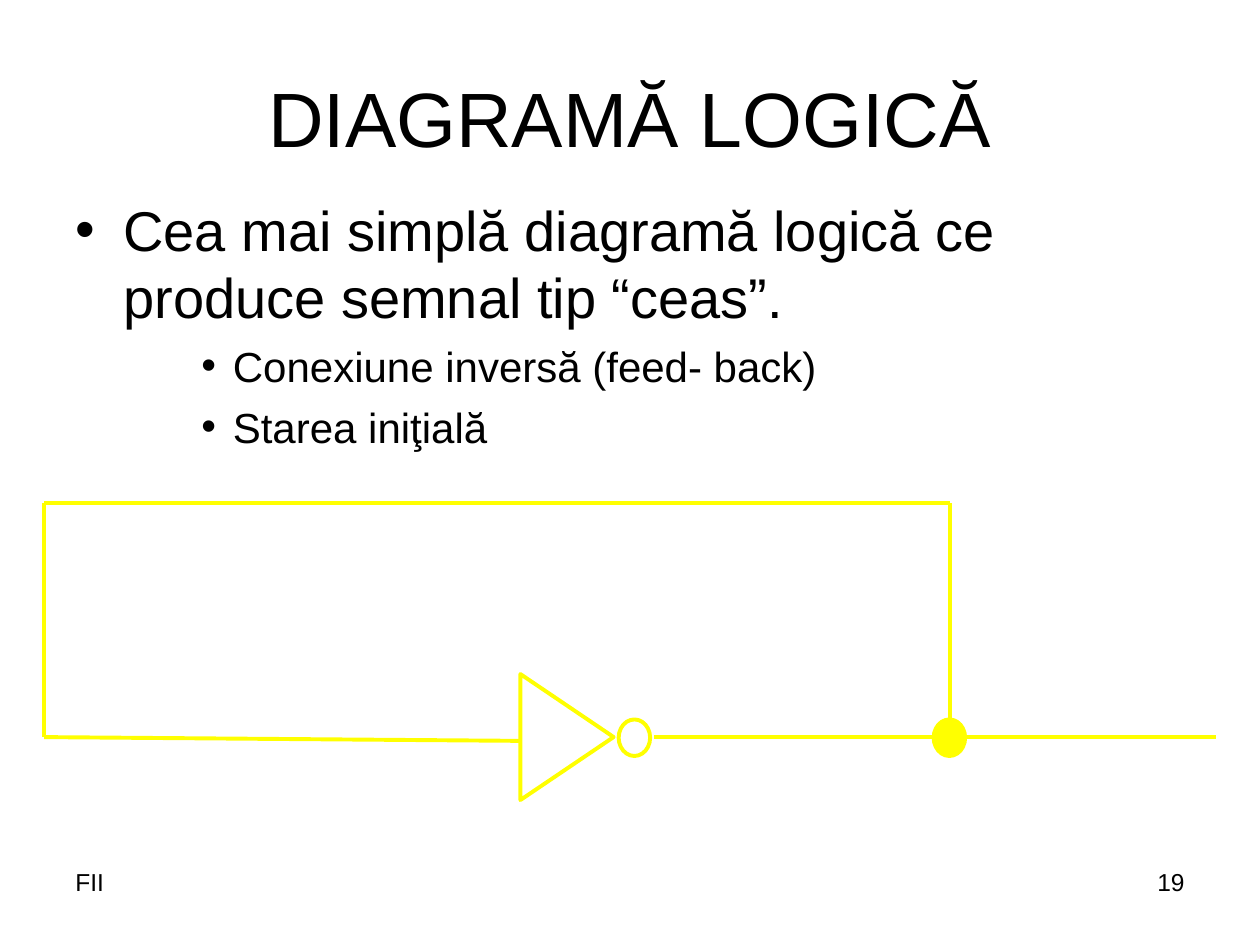
from lxml.etree import SubElement
from pptx import Presentation
from pptx.dml.color import RGBColor
from pptx.enum.shapes import MSO_CONNECTOR, MSO_SHAPE as SHAPE
from pptx.enum.text import MSO_ANCHOR, PP_ALIGN as ALIGN
from pptx.oxml.ns import qn
from pptx.util import Pt

PX = 9144  # 100 px to the inch
BLACK = RGBColor(0, 0, 0)
YELLOW = RGBColor(255, 255, 0)


def scaled(*lengths):
    return [length * PX for length in lengths]


def style(para, size, align=ALIGN.LEFT):
    para.alignment = align
    for span in para.runs:
        span.font.name = "Arial"
        span.font.size = Pt(size)
        span.font.color.rgb = BLACK


deck = Presentation()
deck.slide_width, deck.slide_height = scaled(1000, 750)
page = deck.slides.add_slide(deck.slide_layouts[5])

# Title
title = page.shapes.title
title.left, title.top, title.width, title.height = scaled(50, 30, 900, 125)
title.text_frame.text = "DIAGRAMĂ LOGICĂ"
title.text_frame.vertical_anchor = MSO_ANCHOR.MIDDLE
style(title.text_frame.paragraphs[0], 44, ALIGN.CENTER)

# Bulleted text: wording, level, size, left margin, hanging indent, space before
bullets = [
    ("Cea mai simplă diagramă logică ce produce semnal tip “ceas”.", 0, 32, 38, 38, 0),
    ("Conexiune inversă (feed- back)", 2, 24, 125, 25, 6),
    ("Starea iniţială", 2, 24, 125, 25, 6),
]
body = page.shapes.add_textbox(*scaled(50, 150, 900, 225))
frame = body.text_frame
frame.word_wrap = True
frame.text = "\n".join(bullet[0] for bullet in bullets)
for para, (_, level, size, margin, hanging, space) in zip(frame.paragraphs, bullets):
    para.level = level
    para.space_before = Pt(space)
    properties = para._p.get_or_add_pPr()
    properties.set("marL", str(margin * PX))
    properties.set("indent", str(-hanging * PX))
    SubElement(properties, qn("a:buFont"), typeface="Arial")
    SubElement(properties, qn("a:buChar"), char="•")
    style(para, size)

# Inverter gate, its negation circle and the output node
symbols = [
    (SHAPE.FLOWCHART_EXTRACT, (400, 548, 100, 74), 90, False),
    (SHAPE.FLOWCHART_CONNECTOR, (491, 571, 25, 29), 0, False),
    (SHAPE.FLOWCHART_CONNECTOR, (741, 571, 25, 29), 0, True),
]
for kind, bounds, rotation, filled in symbols:
    symbol = page.shapes.add_shape(kind, *scaled(*bounds))
    symbol.rotation = rotation
    symbol.shadow.inherit = False
    symbol.line.color.rgb = YELLOW
    symbol.line.width = Pt(2.25)
    if filled:
        symbol.fill.solid()
        symbol.fill.fore_color.rgb = YELLOW
    else:
        symbol.fill.background()

# Wires of the feedback loop
LEFT, NODE, TOP, AXIS = 35, 754, 399, 585
wires = [
    (LEFT, AXIS, 413, 588),
    (519, AXIS, 965, AXIS),
    (NODE, 571, NODE, TOP),
    (NODE, TOP, LEFT, TOP),
    (LEFT, AXIS, LEFT, TOP),
]
for ends in wires:
    wire = page.shapes.add_connector(MSO_CONNECTOR.STRAIGHT, *scaled(*ends))
    wire.line.color.rgb = YELLOW
    wire.line.width = Pt(2.25)
    SubElement(wire._element.spPr, qn("a:effectLst"))

# Footer and page number
for text, left, align in [("FII", 50, ALIGN.LEFT), ("19", 717, ALIGN.RIGHT)]:
    box = page.shapes.add_textbox(*scaled(left, 683, 233, 52))
    box.text_frame.word_wrap = True
    box.text_frame.text = text
    style(box.text_frame.paragraphs[0], 14, align)

deck.save("out.pptx")
